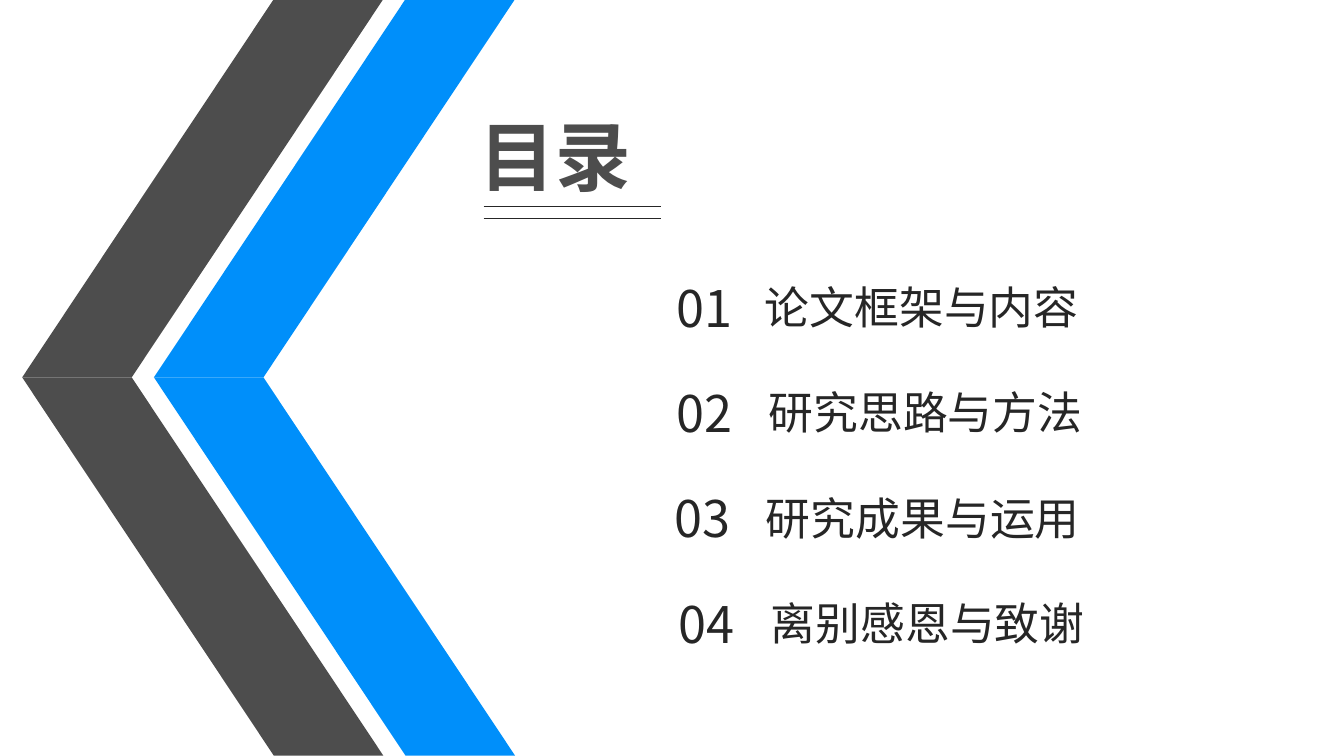
import dataclasses

import lxml.etree
import pptx
import pptx.dml.color
import pptx.enum.shapes
import pptx.enum.text
import pptx.oxml.ns
import pptx.util

Cm = pptx.util.Cm
qn = pptx.oxml.ns.qn
ALIGN = pptx.enum.text.PP_ALIGN


@dataclasses.dataclass(frozen=True)
class Theme:
    font: str = "Noto Sans CJK SC"
    grey: str = "4D4D4D"
    blue: str = "008FFA"
    ink: str = "262626"
    title_size: int = 54
    number_size: int = 36
    heading_size: int = 32
    rule_width: float = 0.5


THEME = Theme()

# Number, its left edge, heading, its left edge and width (cm)
CONTENTS = [
    ("01", 16.69, "论文框架与内容", 18.77, 8.92),
    ("02", 16.71, "研究思路与方法", 19.0, 8.66),
    ("03", 16.66, "研究成果与运用", 18.8, 8.92),
    ("04", 16.74, "离别感恩与致谢", 19.13, 8.51),
]
FIRST_NUMBER_TOP, FIRST_HEADING_TOP, ROW_PITCH = 6.86, 6.93, 2.65


def rgb(color):
    return pptx.dml.color.RGBColor.from_string(color)


def write(sp, text, size, color, align, bold=False):
    """Fill a text shape with one formatted paragraph."""
    tf = sp.text_frame
    tf.text = text
    tf.word_wrap = True
    tf.auto_size = pptx.enum.text.MSO_AUTO_SIZE.SHAPE_TO_FIT_TEXT
    tf.vertical_anchor = pptx.enum.text.MSO_ANCHOR.TOP
    p = tf.paragraphs[0]
    p.alignment = align
    p.font.size = pptx.util.Pt(size)
    p.font.bold = bold
    p.font.color.rgb = rgb(color)
    p.font.name = THEME.font
    # East Asian typeface for the Chinese characters
    props = p._p.pPr.find(qn("a:defRPr"))
    lxml.etree.SubElement(props, qn("a:ea")).set("typeface", THEME.font)


def add_title(s, text, left, top, width, height):
    sp = s.shapes.title
    sp.left, sp.top, sp.width, sp.height = map(Cm, (left, top, width, height))
    write(sp, text, THEME.title_size, THEME.grey, ALIGN.JUSTIFY, bold=True)


def add_label(s, text, left, top, width, height, size):
    sp = s.shapes.add_textbox(Cm(left), Cm(top), Cm(width), Cm(height))
    write(sp, text, size, THEME.ink, ALIGN.CENTER)


def add_chevron(s, left, color):
    """Two mirrored slanted bands that meet at mid-height."""
    band, run, rise, middle = 2.76, 6.34, 9.53, 9.51
    for end in (middle + rise, middle - rise):
        corners = [(left + band, middle), (left + band + run, end), (left + run, end)]
        builder = s.shapes.build_freeform(Cm(left), Cm(middle))
        builder.add_line_segments([(Cm(x), Cm(y)) for x, y in corners], close=True)
        sp = builder.convert_to_shape()
        sp.shadow.inherit = False
        sp.fill.solid()
        sp.fill.fore_color.rgb = rgb(color)
        sp.line.fill.background()


def add_rule(s, left, right, y):
    line = s.shapes.add_connector(
        pptx.enum.shapes.MSO_CONNECTOR.STRAIGHT, Cm(left), Cm(y), Cm(right), Cm(y))
    line.line.color.rgb = rgb(THEME.ink)
    line.line.width = pptx.util.Pt(THEME.rule_width)
    lxml.etree.SubElement(line._element.spPr, qn("a:effectLst"))


def main():
    prs = pptx.Presentation()
    prs.slide_width, prs.slide_height = Cm(33.87), Cm(19.05)
    s = prs.slides.add_slide(prs.slide_layouts.get_by_name("Title Only"))

    # Chevrons
    add_chevron(s, 0.56, THEME.grey)
    add_chevron(s, 3.88, THEME.blue)

    # Title with a double rule
    add_title(s, "目录", 11.84, 2.64, 5.18, 2.57)
    for y in (5.21, 5.49):
        add_rule(s, 12.19, 16.66, y)

    # Contents
    for i, (number, number_left, heading, left, width) in enumerate(CONTENTS):
        drop = i * ROW_PITCH
        add_label(s, heading, left, FIRST_HEADING_TOP + drop, width, 1.63,
                  THEME.heading_size)
        add_label(s, number, number_left, FIRST_NUMBER_TOP + drop, 2.11, 1.8,
                  THEME.number_size)

    prs.save("out.pptx")


if __name__ == "__main__":
    main()
